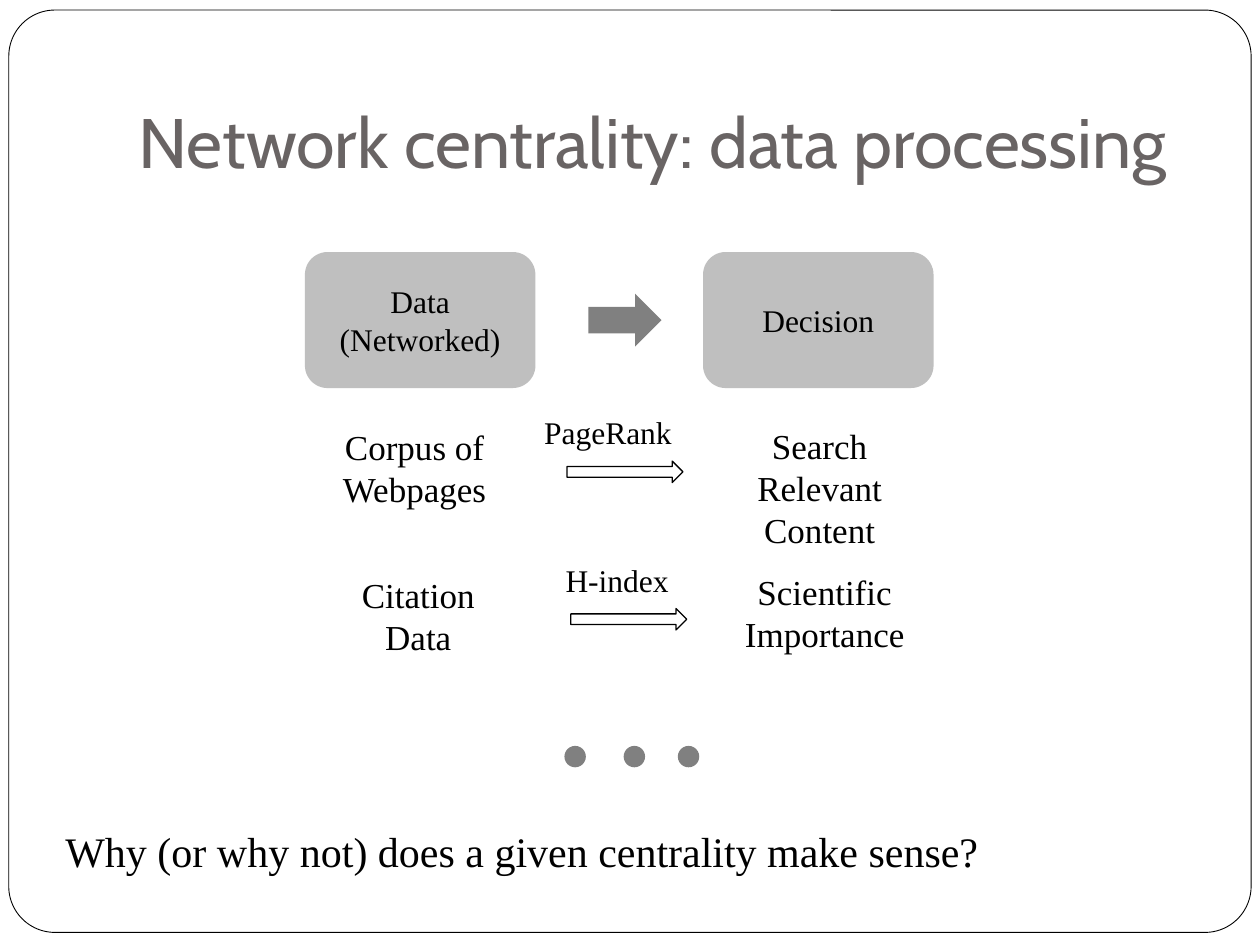
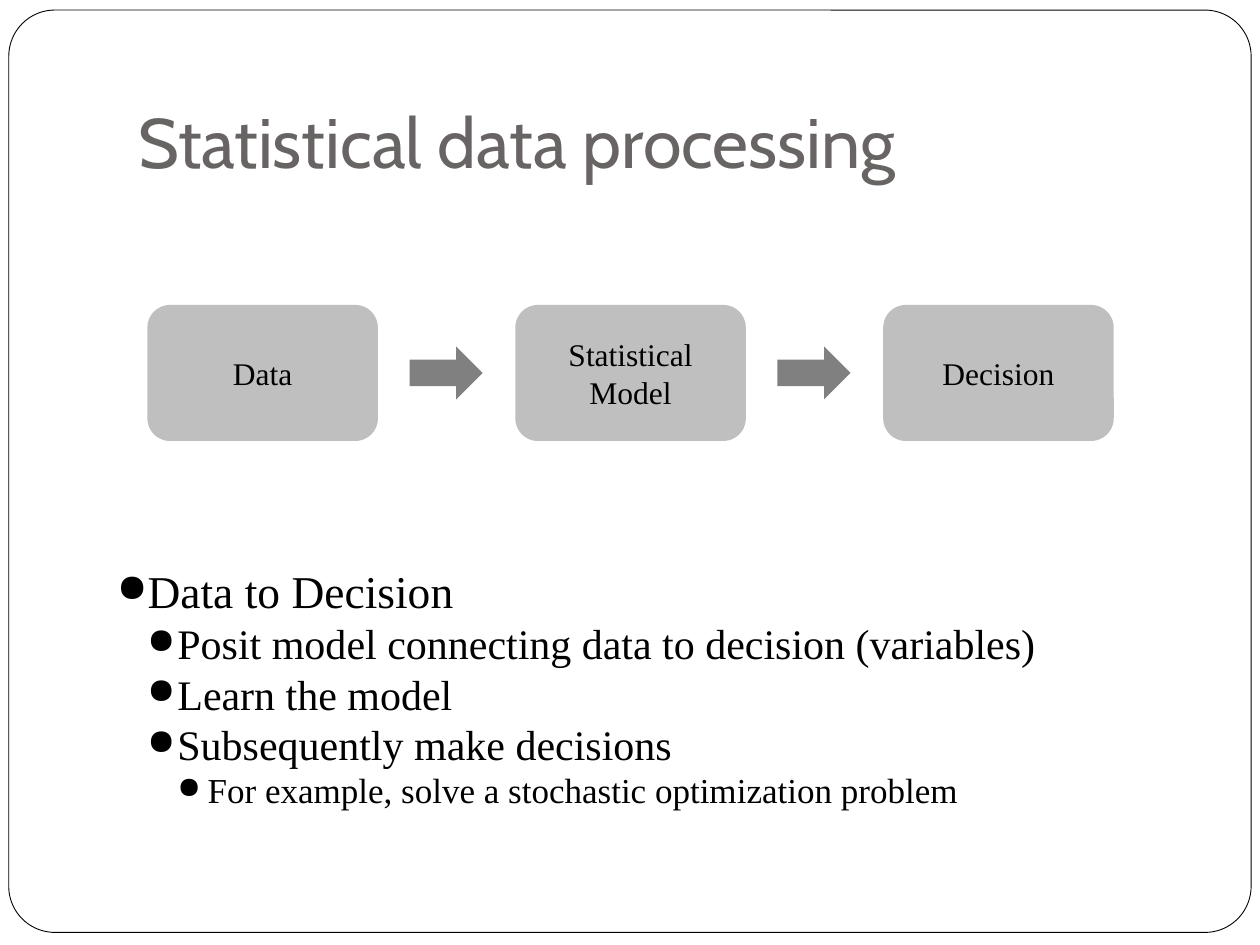
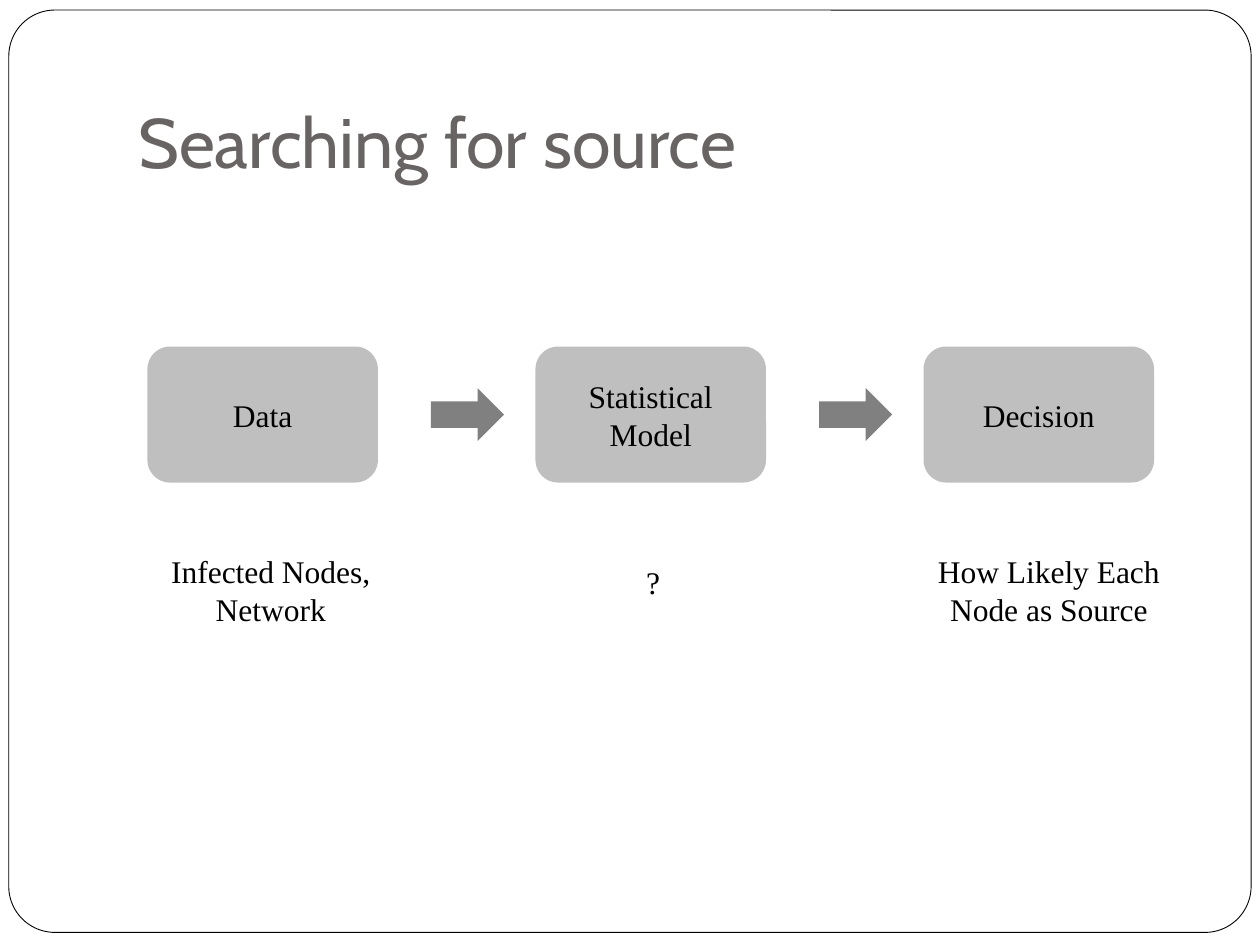
"""Build three slides on network centrality and statistical data processing."""
from dataclasses import dataclass

from lxml import etree
from pptx import Presentation
from pptx import util as u
from pptx.dml import color
from pptx.enum import shapes, text
from pptx.oxml import ns


@dataclass(frozen=True)
class Theme:
    """Colours, fonts and type sizes of the deck."""
    paper: str = "FFFFFF"
    ink: str = "000000"
    title: str = "696464"
    panel: str = "BFBFBF"
    accent: str = "808080"
    heading_font: str = "Cabin"
    body_font: str = "Times New Roman"
    title_size: int = 40
    label_size: int = 18
    example_size: int = 20
    question_size: int = 24
    bullet_sizes: tuple = (26, 24, 20)
    bullet_step: float = 0.24


SHAPE = shapes.MSO_SHAPE
CENTER = text.PP_ALIGN.CENTER
LEFT = text.PP_ALIGN.LEFT


class Slides:
    """Hold the theme and the current slide, and draw elements on it."""

    def __init__(self, theme):
        """Start an empty deck of 10 by 7.5 inches."""
        self.theme = theme
        self.deck = Presentation()
        self.deck.slide_width = u.Inches(10)
        self.deck.slide_height = u.Inches(7.5)
        self.page = None

    def new_page(self, title):
        """Add a slide with the shared frame and a title."""
        theme = self.theme
        self.page = self.deck.slides.add_slide(self.deck.slide_layouts[6])
        frame = self.shape(SHAPE.ROUNDED_RECTANGLE, 0.07, 0.08, 9.86, 7.32,
                           fill=theme.paper, line=0.5)
        frame.adjustments[0] = 0.05
        box = self.label([title], 1, 0.3, 8.5, 1.25, size=theme.title_size,
                         font=theme.heading_font, ink=theme.title)
        box.text_frame.vertical_anchor = text.MSO_ANCHOR.BOTTOM
        box.text_frame.margin_bottom = u.Inches(0.1)

    def shape(self, kind, left, top, width, height, fill=None, line=None):
        """Add a preset shape with an optional fill and outline width."""
        item = self.page.shapes.add_shape(
            kind, *map(u.Inches, (left, top, width, height)))
        item.shadow.inherit = False
        if fill:
            item.fill.solid()
            item.fill.fore_color.rgb = color.RGBColor.from_string(fill)
        else:
            item.fill.background()
        if line:
            item.line.color.rgb = color.RGBColor.from_string(self.theme.ink)
            item.line.width = u.Pt(line)
        else:
            item.line.fill.background()
        return item

    def style(self, para, size, font=None, ink=None, align=LEFT):
        """Set the alignment and type of a paragraph."""
        para.alignment = align
        values = {"size": u.Pt(size), "name": font or self.theme.body_font}
        for name, value in values.items():
            setattr(para.font, name, value)
        para.font.color.rgb = color.RGBColor.from_string(ink or self.theme.ink)

    def set_lines(self, frame, lines, **style):
        """Put one paragraph per line into a text frame."""
        for index, line in enumerate(lines):
            para = frame.add_paragraph() if index else frame.paragraphs[0]
            para.text = line
            self.style(para, **style)

    def label(self, lines, left, top, width, height, wrap=True, **style):
        """Add a text box."""
        box = self.page.shapes.add_textbox(
            *map(u.Inches, (left, top, width, height)))
        box.text_frame.word_wrap = wrap
        self.set_lines(box.text_frame, lines, **style)
        return box

    def flow(self, steps, left, top, pitch, arrow_offset):
        """Add a row of rounded boxes with block arrows between them."""
        theme = self.theme
        for index, lines in enumerate(steps):
            x = left + index * pitch
            if index:
                self.shape(SHAPE.RIGHT_ARROW, x - pitch + arrow_offset,
                           top + 0.33, 0.58, 0.42, fill=theme.accent)
            step = self.shape(SHAPE.ROUNDED_RECTANGLE, x, top, 1.83, 1.08,
                              fill=theme.panel)
            step.text_frame.vertical_anchor = text.MSO_ANCHOR.MIDDLE
            self.set_lines(step.text_frame, lines, size=theme.label_size,
                           align=CENTER)

    def method_arrow(self, name, left, top, width, arrow_left):
        """Add a method name above an outlined arrow."""
        self.label([name], left, top, width, 0.4, wrap=False,
                   size=self.theme.label_size)
        self.shape(SHAPE.RIGHT_ARROW, arrow_left, top + 0.43, 0.92, 0.17,
                   line=0.75)

    def bullets(self, items, left, top, width, height):
        """Add a bulleted list of (level, line) items."""
        theme = self.theme
        box = self.label([line for level, line in items], left, top, width,
                         height, size=theme.bullet_sizes[0])
        step = u.Inches(theme.bullet_step)
        for para, (level, line) in zip(box.text_frame.paragraphs, items):
            para.level = level
            properties = para._p.get_or_add_pPr()
            for name, value in {"marL": step * (level + 1),
                                "indent": -step}.items():
                properties.set(name, str(value))
            marks = (("a:buSzPct", "val", "85000"), ("a:buChar", "char", "●"))
            for index, (tag, name, value) in enumerate(marks):
                mark = etree.Element(ns.qn(tag), {name: value})
                properties.insert(index, mark)
            self.style(para, theme.bullet_sizes[level])


def centrality_page(slides):
    """Compare centralities as routes from data to decision."""
    theme = slides.theme
    slides.new_page("Network centrality: data processing")
    slides.flow([["Data", "(Networked)"], ["Decision"]], 2.42, 2, 3.16, 2.25)
    examples = [
        (["Corpus of Webpages"], 2.5, 3.33, 1.58),
        (["Search Relevant Content"], 5.63, 3.32, 1.75),
        (["Citation", "Data"], 2.53, 4.5, 1.58),
        (["Scientific Importance"], 5.67, 4.48, 1.75),
    ]
    for lines, left, top, width in examples:
        slides.label(lines, left, top, width, 0.92, size=theme.example_size,
                     align=CENTER)
    slides.method_arrow("PageRank", 4.22, 3.23, 1.42, 4.5)
    slides.method_arrow("H-index", 4.39, 4.4, 1.16, 4.53)
    for left in (4.48, 4.95, 5.38):
        slides.shape(SHAPE.OVAL, left, 5.92, 0.17, 0.17, fill=theme.accent)
    slides.label(["Why (or why not) does a given centrality make sense?"],
                 0.42, 6.5, 9.39, 0.5, wrap=False, size=theme.question_size)


def processing_page(slides):
    """Show the statistical route from data to decision."""
    slides.new_page("Statistical data processing")
    slides.flow([["Data"], ["Statistical", "Model"], ["Decision"]],
                1.17, 2.42, 2.92, 2.08)
    slides.bullets([
        (0, "Data to Decision"),
        (1, "Posit model connecting data to decision (variables)"),
        (1, "Learn the model"),
        (1, "Subsequently make decisions"),
        (2, "For example, solve a stochastic optimization problem"),
    ], 0.83, 4.42, 8.5, 2.5)


def source_page(slides):
    """Apply the statistical route to finding a source."""
    size = slides.theme.label_size
    slides.new_page("Searching for source")
    slides.flow([["Data"], ["Statistical", "Model"], ["Decision"]],
                1.17, 2.75, 3.08, 2.25)
    slides.label(["Infected Nodes,", "Network"], 1.07, 4.33, 2.16, 0.7,
                 wrap=False, size=size, align=CENTER)
    slides.label(["?"], 5.03, 4.42, 0.33, 0.4, wrap=False, size=size)
    slides.label(["How Likely Each", "Node as Source"], 7.21, 4.33, 2.23, 0.7,
                 wrap=False, size=size, align=CENTER)


def main():
    """Build and save the deck."""
    slides = Slides(Theme())
    for build in (centrality_page, processing_page, source_page):
        build(slides)
    slides.deck.save("out.pptx")


if __name__ == "__main__":
    main()
